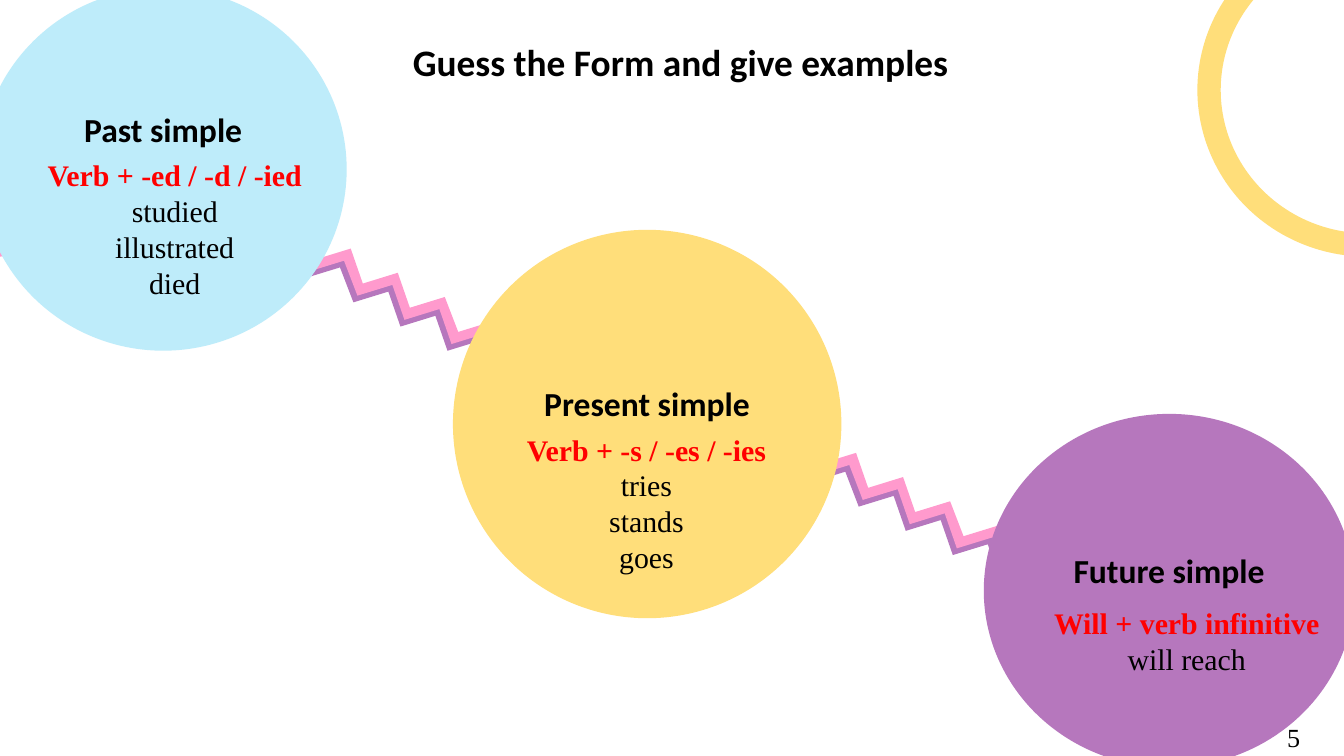
from pptx import Presentation
from pptx.dml.color import RGBColor
from pptx.enum.shapes import MSO_SHAPE
from pptx.enum.text import MSO_ANCHOR, PP_ALIGN
from pptx.util import Inches, Pt

ELLIPSE, BLOCK_ARC = MSO_SHAPE.OVAL, MSO_SHAPE.BLOCK_ARC
CENTER = PP_ALIGN.CENTER
TOP, MIDDLE = MSO_ANCHOR.TOP, MSO_ANCHOR.MIDDLE

COLORS = {
    "blue": "BEECFA",
    "yellow": "FFDE7A",
    "purple": "B677BD",
    "pink": "FF9ACD",
    "red": "FF0000",
    "black": "000000",
}
HEADING_FONT, BODY_FONT = "Calibri", "Times New Roman"

# Half of the zigzag outline; the other half is its point reflection.
ZIGZAG_HALF = [(0, 0), (-0.26, 0.08), (-0.34, -0.14), (-0.41, -0.12), (-0.31, 0.17),
               (-0.05, 0.09), (0.05, 0.35), (0.31, 0.27), (0.4, 0.53), (0.66, 0.45)]
ZIGZAG_SPAN = (0.75, 0.71)
ZIGZAG_SHADOW = (-0.03, 0.05)


class SlideBuilder:
    def __init__(self, slide):
        self.slide = slide

    def fill(self, shape, color):
        shape.shadow.inherit = False
        shape.fill.solid()
        shape.fill.fore_color.rgb = RGBColor.from_string(COLORS[color])
        shape.line.fill.background()

    def style(self, paragraph, text, size, font, color="black", bold=False):
        paragraph.text = text
        paragraph.alignment = CENTER
        paragraph.font.size = Pt(size)
        paragraph.font.name = font
        paragraph.font.bold = bold
        paragraph.font.color.rgb = RGBColor.from_string(COLORS[color])

    def half_ring(self, left, top, start_angle, color):
        """Draw a half ring clockwise from start_angle, in degrees."""
        ring = self.slide.shapes.add_shape(
            BLOCK_ARC, Inches(left), Inches(top), Inches(2.53), Inches(2.48))
        # Angles are stored in 60000ths of a degree, adjustments in 100000ths.
        ring.adjustments[0] = start_angle * 0.6
        ring.adjustments[1] = (start_angle + 180) % 360 * 0.6
        ring.adjustments[2] = 0.07
        self.fill(ring, color)

    def zigzag(self, left, top, color):
        reflected = [(ZIGZAG_SPAN[0] - x, ZIGZAG_SPAN[1] - y) for x, y in ZIGZAG_HALF]
        points = [(Inches(left + x), Inches(top + y)) for x, y in ZIGZAG_HALF + reflected]
        builder = self.slide.shapes.build_freeform(*points[0])
        builder.add_line_segments(points[1:], close=True)
        self.fill(builder.convert_to_shape(), color)

    def circle(self, left, top, width, height, color, heading, bottom_inset):
        """Draw a circle whose heading is lifted by a larger bottom inset."""
        circle = self.slide.shapes.add_shape(
            ELLIPSE, Inches(left), Inches(top), Inches(width), Inches(height))
        self.fill(circle, color)
        frame = circle.text_frame
        frame.vertical_anchor = MIDDLE
        frame.margin_left = frame.margin_right = frame.margin_top = Inches(0.1)
        frame.margin_bottom = Inches(bottom_inset)
        self.style(frame.paragraphs[0], heading, 18, HEADING_FONT, bold=True)

    def text_box(self, left, top, width, height, anchor=TOP):
        box = self.slide.shapes.add_textbox(
            Inches(left), Inches(top), Inches(width), Inches(height))
        frame = box.text_frame
        frame.word_wrap = True
        frame.vertical_anchor = anchor
        return frame

    def line(self, left, top, width, height, text, size, font, bold=False, anchor=TOP):
        frame = self.text_box(left, top, width, height, anchor)
        self.style(frame.paragraphs[0], text, size, font, bold=bold)

    def examples(self, left, top, height, form, verbs):
        frame = self.text_box(left, top, 2.32, height)
        self.style(frame.paragraphs[0], form, 16, BODY_FONT, "red", True)
        for verb in verbs:
            self.style(frame.add_paragraph(), verb, 16, BODY_FONT)


def main():
    presentation = Presentation()
    presentation.slide_width = Inches(10)
    presentation.slide_height = presentation.slide_width * 9 // 16
    builder = SlideBuilder(presentation.slides.add_slide(presentation.slide_layouts[6]))

    builder.half_ring(-1.31, -0.57, 270, "pink")
    builder.half_ring(8.91, -0.57, 83, "yellow")
    for left, top in [(6.37, 3.37), (2.61, 1.85)]:
        builder.zigzag(left + ZIGZAG_SHADOW[0], top + ZIGZAG_SHADOW[1], "purple")
        builder.zigzag(left, top, "pink")

    builder.line(1.33, 0, 7.47, 0.92, "Guess the Form and give examples",
                 20, HEADING_FONT, bold=True, anchor=MIDDLE)

    builder.circle(3.37, 1.71, 2.89, 2.89, "yellow", "Present simple", 0.41)
    builder.circle(7.32, 3.08, 2.76, 2.63, "purple", "Future simple", 0.4)
    builder.circle(-0.15, -0.09, 2.73, 2.7, "blue", "Past simple", 0.7)

    builder.examples(0.14, 1.12, 1.18, "Verb + -ed / -d / -ied",
                     ["studied", "illustrated", "died"])
    builder.examples(3.65, 3.16, 1.18, "Verb + -s / -es / -ies",
                     ["tries", "stands", "goes"])
    builder.examples(7.67, 4.45, 0.91, "Will + verb infinitive", ["will reach"])
    builder.line(9.25, 5.32, 0.75, 0.34, "5", 14, BODY_FONT)

    presentation.save("out.pptx")


if __name__ == "__main__":
    main()
